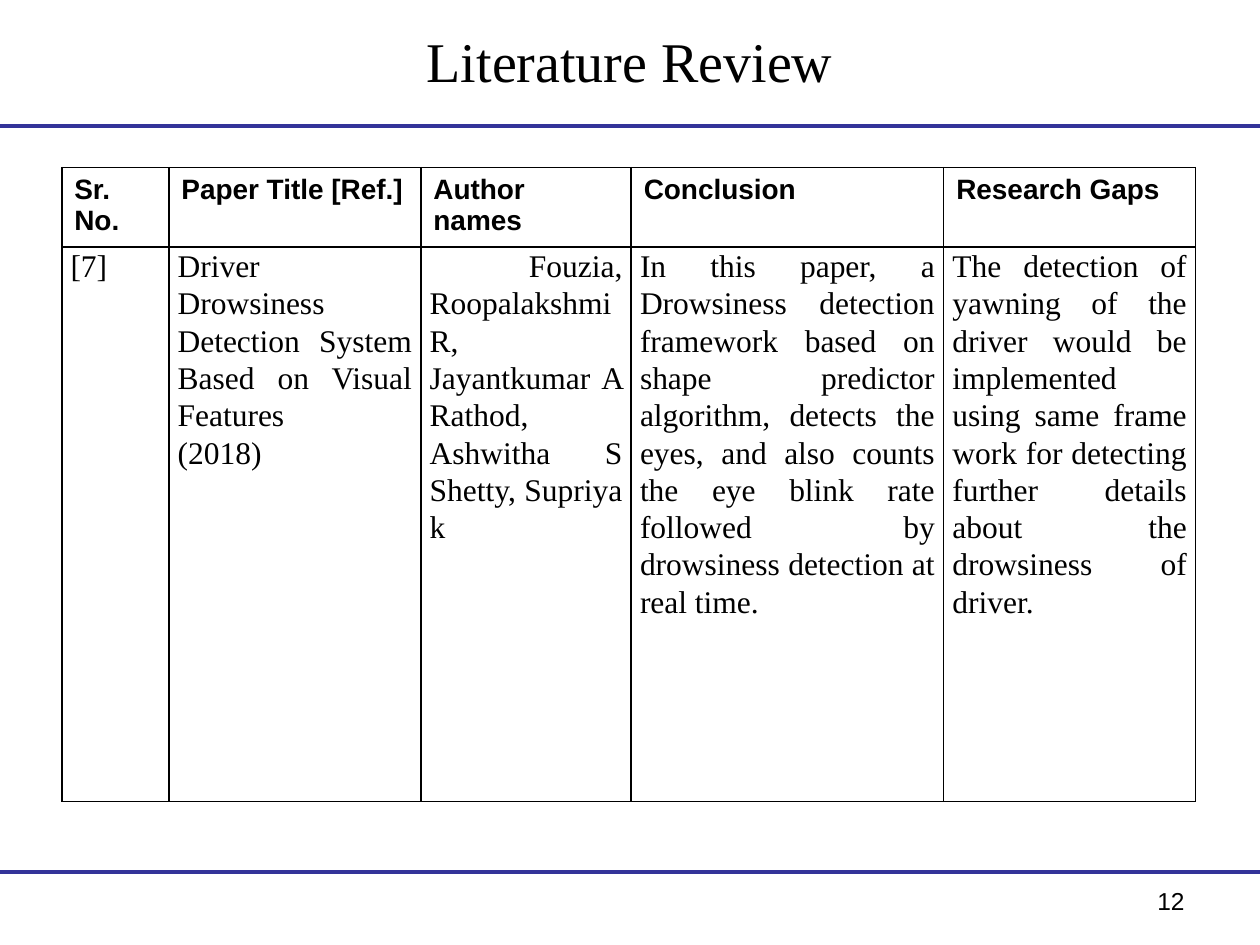
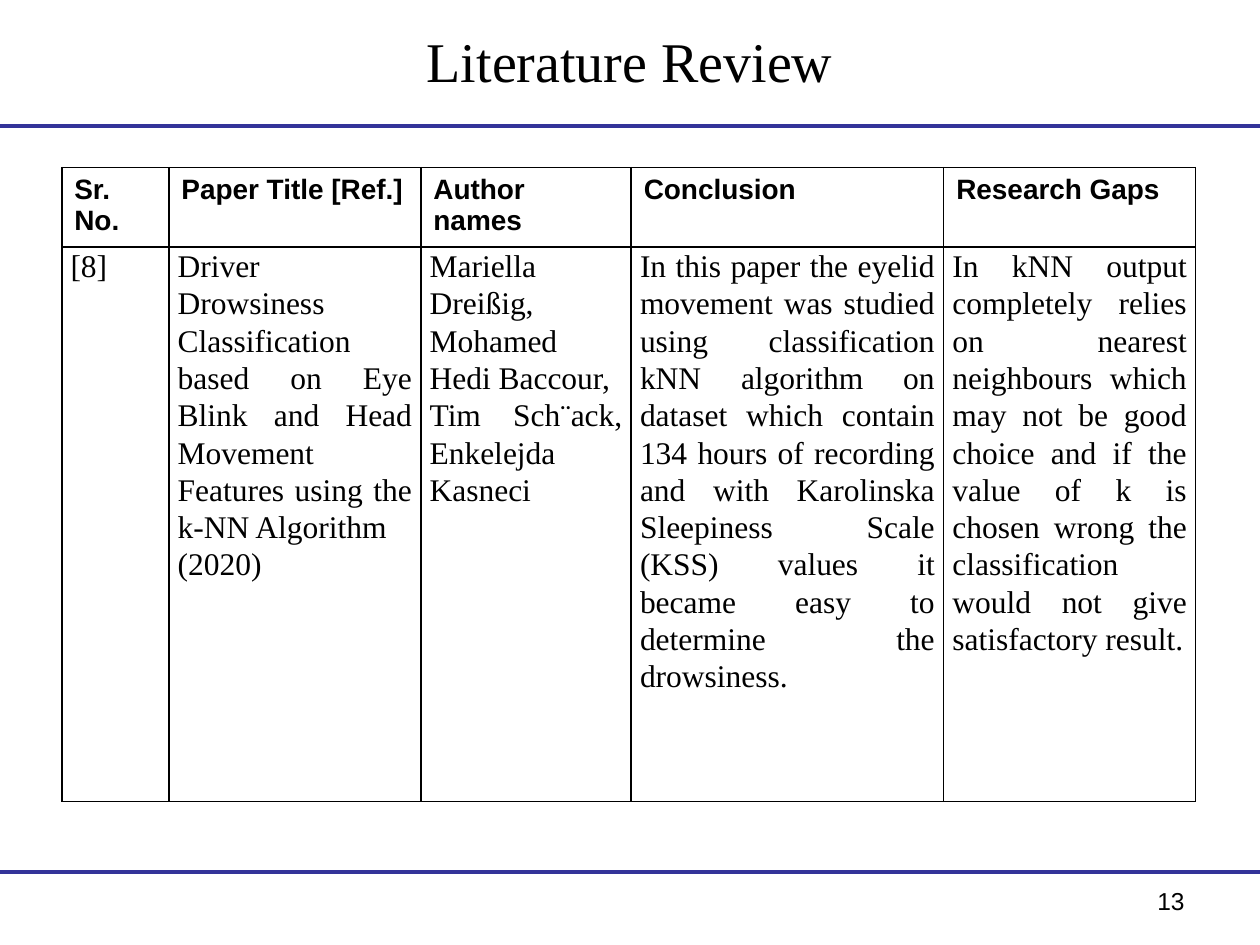
from dataclasses import dataclass

from lxml.etree import SubElement
from pptx import Presentation
from pptx.dml.color import RGBColor
from pptx.enum.shapes import MSO_CONNECTOR
from pptx.enum.text import MSO_ANCHOR, PP_ALIGN
from pptx.oxml.ns import qn
from pptx.slide import Slide
from pptx.table import _Cell
from pptx.text.text import TextFrame
from pptx.util import Inches, Pt

BLACK = RGBColor(0x00, 0x00, 0x00)
WHITE = RGBColor(0xFF, 0xFF, 0xFF)
RULE_BLUE = RGBColor(0x33, 0x33, 0x99)
SANS = "Arial"
SERIF = "Times New Roman"

SLIDE_WIDTH, SLIDE_HEIGHT = Inches(10), Inches(7.5)
RULE_TOPS = (Inches(1), Inches(6.92))
COLUMN_WIDTHS = [Inches(width) for width in (0.85, 2, 1.67, 2.48, 2)]
ROW_HEIGHTS = [Inches(0.63), Inches(4.4)]
HEADINGS = ("Sr. No.", "Paper Title [Ref.]", "Author names", "Conclusion", "Research Gaps")


@dataclass(frozen=True)
class Review:
    """One reviewed paper; a line break starts a new paragraph."""
    page: int
    number: str
    title: str
    authors: str
    conclusion: str
    gaps: str

    def fields(self) -> tuple[str, ...]:
        return self.number, self.title, self.authors, self.conclusion, self.gaps


REVIEWS = (
    Review(
        page=12,
        number="[7]",
        title="Driver Drowsiness Detection System Based on Visual Features\n(2018)",
        authors=" Fouzia, Roopalakshmi R, Jayantkumar A Rathod, Ashwitha S Shetty, Supriya k",
        conclusion="In this paper, a Drowsiness detection framework based on shape predictor "
                   "algorithm, detects the eyes, and also counts the eye blink rate followed by "
                   "drowsiness detection at real time.",
        gaps="The detection of yawning of the driver would be implemented using same frame work "
             "for detecting further details about the drowsiness of driver.",
    ),
    Review(
        page=13,
        number="[8]",
        title="Driver Drowsiness Classification based on Eye Blink and Head Movement Features "
              "using the k-NN Algorithm\n(2020)",
        authors="Mariella Dreißig, Mohamed Hedi Baccour,\nTim Sch¨ack, Enkelejda Kasneci",
        conclusion="In this paper the eyelid movement was studied using classification kNN "
                   "algorithm on dataset which contain 134 hours of recording and with Karolinska "
                   "Sleepiness Scale (KSS) values it became easy to determine the drowsiness.",
        gaps="In kNN output completely relies on nearest neighbours which may not be good choice "
             "and if the value of k is chosen wrong the classification would not give "
             "satisfactory result.",
    ),
)


def write_text(frame: TextFrame, text: str, *, size: int, font: str = SANS, bold: bool = False,
               align: PP_ALIGN = PP_ALIGN.LEFT, line_spacing: float = 1.0) -> None:
    frame.word_wrap = True
    frame.text = text
    for paragraph in frame.paragraphs:
        paragraph.alignment = align
        paragraph.line_spacing = line_spacing
        for run in paragraph.runs:
            run.font.name = font
            run.font.size = Pt(size)
            run.font.bold = bold
            run.font.color.rgb = BLACK


def add_rule(slide: Slide, top: int) -> None:
    rule = slide.shapes.add_connector(MSO_CONNECTOR.STRAIGHT, 0, top, SLIDE_WIDTH, top)
    rule.line.color.rgb = RULE_BLUE
    rule.line.width = Pt(2.25)
    SubElement(rule._element.spPr, qn("a:effectLst"))


def style_cell(cell: _Cell, margin_x: float, margin_y: float) -> None:
    cell.margin_left = cell.margin_right = Inches(margin_x)
    cell.margin_top = cell.margin_bottom = Inches(margin_y)
    # Borders come before the fill in the cell properties
    properties = cell._tc.get_or_add_tcPr()
    for side in ("lnL", "lnR", "lnT", "lnB"):
        border = SubElement(properties, qn(f"a:{side}"), w=str(Pt(1)))
        fill = SubElement(border, qn("a:solidFill"))
        SubElement(fill, qn("a:srgbClr"), val=str(BLACK))
    cell.fill.solid()
    cell.fill.fore_color.rgb = WHITE


def add_review_table(slide: Slide, review: Review) -> None:
    table = slide.shapes.add_table(
        len(ROW_HEIGHTS), len(COLUMN_WIDTHS), Inches(0.49), Inches(1.33),
        sum(COLUMN_WIDTHS), sum(ROW_HEIGHTS)).table
    table.first_row = table.horz_banding = False
    for row, height in zip(table.rows, ROW_HEIGHTS):
        row.height = height
    for index, (width, heading, field) in enumerate(
            zip(COLUMN_WIDTHS, HEADINGS, review.fields())):
        table.columns[index].width = width
        header_cell, body_cell = table.cell(0, index), table.cell(1, index)
        style_cell(header_cell, 0.1, 0.05)
        write_text(header_cell.text_frame, heading, size=16, bold=True)
        style_cell(body_cell, 0.07, 0)
        write_text(body_cell.text_frame, field, size=18, font=SERIF,
                   align=PP_ALIGN.JUSTIFY, line_spacing=1.07)


def add_review_slide(presentation: Presentation, review: Review) -> None:
    slide = presentation.slides.add_slide(presentation.slide_layouts.get_by_name("Title Only"))

    # Rules above and below the content
    for top in RULE_TOPS:
        add_rule(slide, top)

    # Title
    title = slide.shapes.title
    title.left, title.top = Inches(0.5), Inches(0.13)
    title.width, title.height = Inches(9), Inches(0.7)
    title.text_frame.vertical_anchor = MSO_ANCHOR.MIDDLE
    write_text(title.text_frame, "Literature Review", size=32, font=SERIF, align=PP_ALIGN.CENTER)

    # Reviewed paper
    add_review_table(slide, review)

    # Page number
    page_box = slide.shapes.add_textbox(Inches(7.17), Inches(6.98), Inches(2.33), Inches(0.52))
    write_text(page_box.text_frame, str(review.page), size=14, align=PP_ALIGN.RIGHT)


def main() -> None:
    presentation = Presentation()
    presentation.slide_width, presentation.slide_height = SLIDE_WIDTH, SLIDE_HEIGHT
    for review in REVIEWS:
        add_review_slide(presentation, review)
    presentation.save("out.pptx")


if __name__ == "__main__":
    main()
